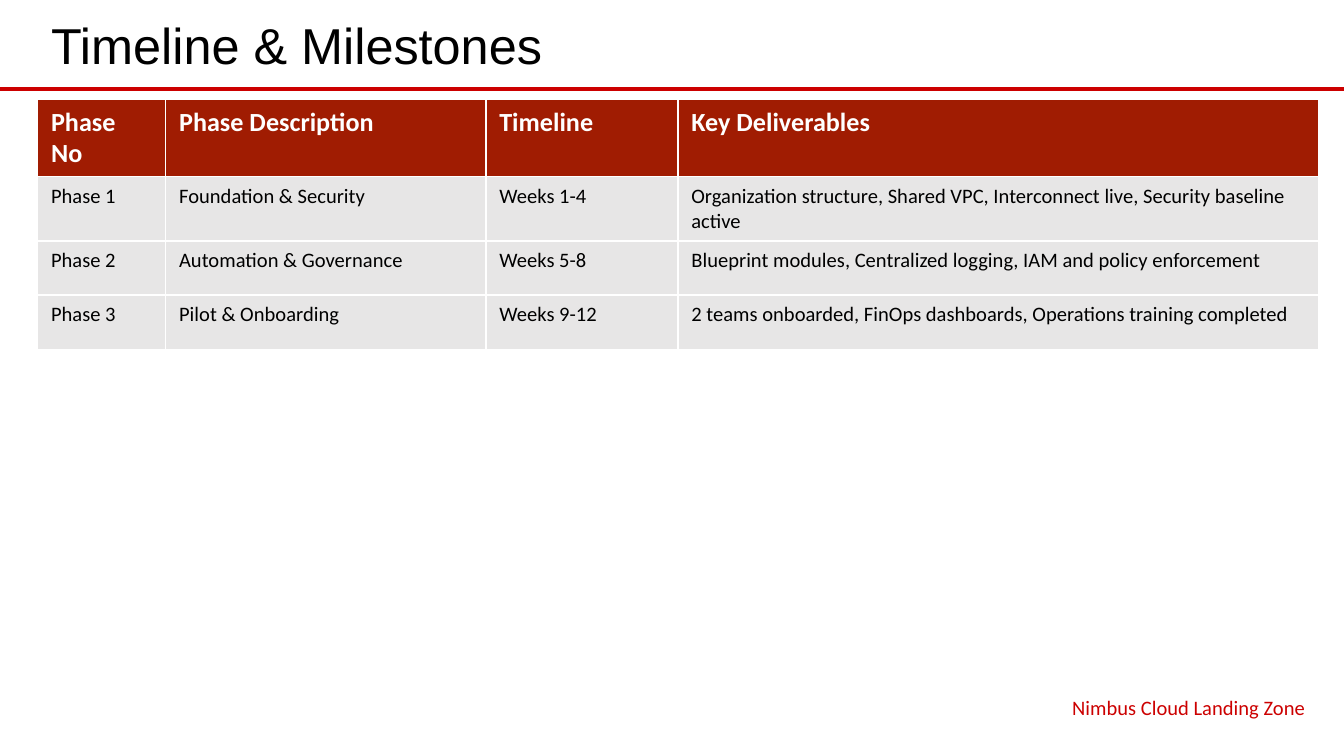
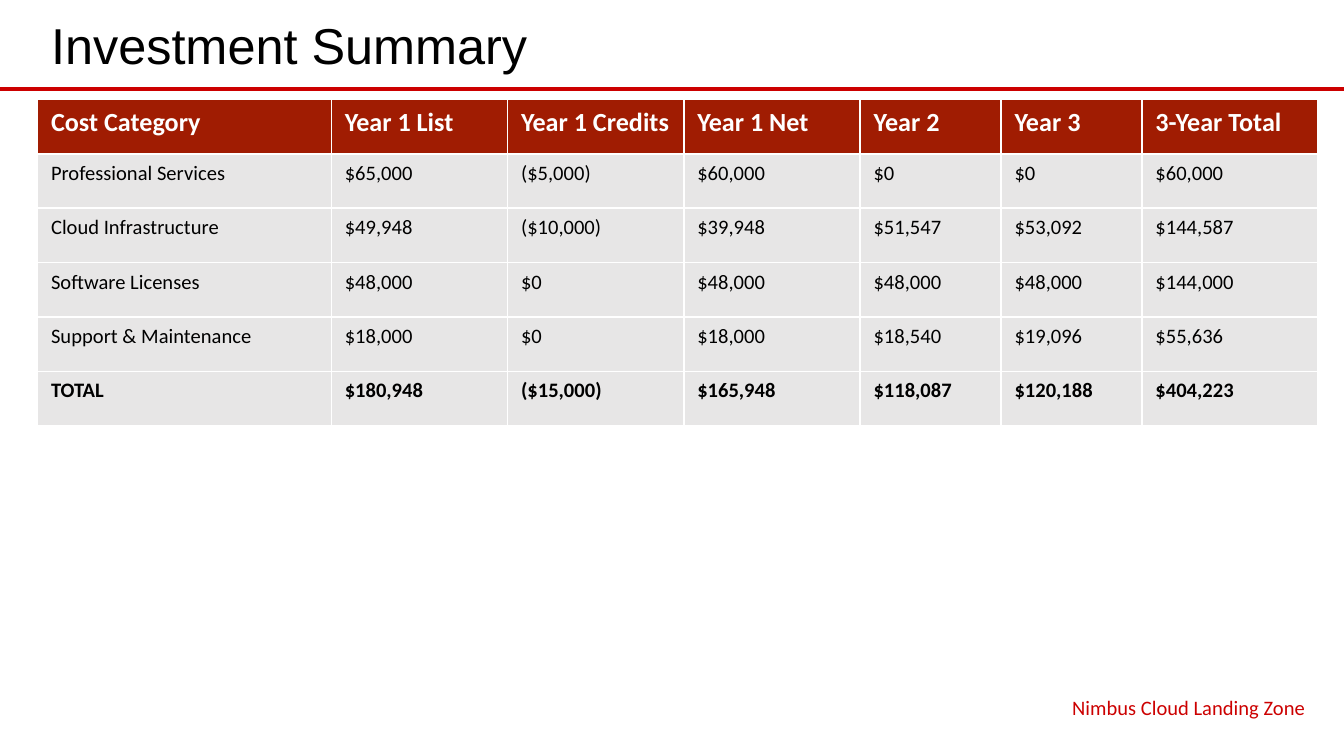
from dataclasses import dataclass

from lxml import etree
from pptx import Presentation
from pptx.dml.color import RGBColor
from pptx.enum.shapes import MSO_CONNECTOR
from pptx.enum.text import MSO_ANCHOR, MSO_AUTO_SIZE, PP_ALIGN
from pptx.oxml.ns import qn
from pptx.slide import Slide
from pptx.text.text import TextFrame
from pptx.util import Emu, Inches, Pt

STRAIGHT = MSO_CONNECTOR.STRAIGHT
TOP, MIDDLE = MSO_ANCHOR.TOP, MSO_ANCHOR.MIDDLE
LEFT, RIGHT = PP_ALIGN.LEFT, PP_ALIGN.RIGHT
NO_FIT = MSO_AUTO_SIZE.NONE

COLORS = {
    "rule": "CC0000",
    "header": "A01C02",
    "row": "E7E6E6",
    "white": "FFFFFF",
    "black": "000000",
}
WIDTH, HEIGHT = Inches(10), Inches(5.625)
TITLE_ONLY = 5
FOOTER = "Nimbus Cloud Landing Zone"
RULE_Y = 11.73
ROW_HEIGHT = 7.2


@dataclass(frozen=True)
class Box:
    """Position and size in percent of the slide."""

    left: float
    top: float
    width: float
    height: float = 0

    def emu(self) -> tuple[Emu, Emu, Emu, Emu]:
        return across(self.left), down(self.top), across(self.width), down(self.height)


@dataclass(frozen=True)
class TextStyle:
    font: str
    size: float
    color: str
    bold: bool = False
    align: PP_ALIGN = LEFT


@dataclass(frozen=True)
class TableSlide:
    title: str
    columns: tuple[int, ...]
    rows: tuple[tuple[str, ...], ...]
    has_total: bool = False


TITLE_BOX = Box(2.8, 0.71, 95.3, 10.31)
TABLE_BOX = Box(2.8, 13.16, 95.3)
FOOTER_BOX = Box(62.9, 91.02, 35.2, 4.62)

TITLE_STYLE = TextStyle("Arial", 27, "black")
HEADER_STYLE = TextStyle("Calibri", 14, "white", bold=True)
BODY_STYLE = TextStyle("Calibri", 11, "black")
TOTAL_STYLE = TextStyle("Calibri", 11, "black", bold=True)
FOOTER_STYLE = TextStyle("Calibri", 11, "rule", align=RIGHT)

SLIDES = (
    TableSlide(
        "Timeline & Milestones",
        (2, 5, 3, 10),
        (
            ("Phase No", "Phase Description", "Timeline", "Key Deliverables"),
            ("Phase 1", "Foundation & Security", "Weeks 1-4",
             "Organization structure, Shared VPC, Interconnect live, Security baseline active"),
            ("Phase 2", "Automation & Governance", "Weeks 5-8",
             "Blueprint modules, Centralized logging, IAM and policy enforcement"),
            ("Phase 3", "Pilot & Onboarding", "Weeks 9-12",
             "2 teams onboarded, FinOps dashboards, Operations training completed"),
        ),
    ),
    TableSlide(
        "Investment Summary",
        (25, 15, 15, 15, 12, 12, 15),
        (
            ("Cost Category", "Year 1 List", "Year 1 Credits", "Year 1 Net",
             "Year 2", "Year 3", "3-Year Total"),
            ("Professional Services", "$65,000", "($5,000)", "$60,000",
             "$0", "$0", "$60,000"),
            ("Cloud Infrastructure", "$49,948", "($10,000)", "$39,948",
             "$51,547", "$53,092", "$144,587"),
            ("Software Licenses", "$48,000", "$0", "$48,000",
             "$48,000", "$48,000", "$144,000"),
            ("Support & Maintenance", "$18,000", "$0", "$18,000",
             "$18,540", "$19,096", "$55,636"),
            ("TOTAL", "$180,948", "($15,000)", "$165,948",
             "$118,087", "$120,188", "$404,223"),
        ),
        has_total=True,
    ),
)


def across(percent: float) -> Emu:
    return Emu(round(WIDTH * percent / 100))


def down(percent: float) -> Emu:
    return Emu(round(HEIGHT * percent / 100))


def rgb(name: str) -> RGBColor:
    return RGBColor.from_string(COLORS[name])


def write(tf: TextFrame, text: str, style: TextStyle) -> None:
    tf.text = text
    p = tf.paragraphs[0]
    p.alignment = style.align
    font = p.runs[0].font
    font.name = style.font
    font.size = Pt(style.size)
    font.bold = style.bold
    font.color.rgb = rgb(style.color)


def add_title(s: Slide, text: str) -> None:
    sp = s.shapes.title
    sp.left, sp.top, sp.width, sp.height = TITLE_BOX.emu()
    tf = sp.text_frame
    tf.word_wrap = True
    tf.auto_size = NO_FIT
    tf.vertical_anchor = MIDDLE
    write(tf, text, TITLE_STYLE)


def add_rule(s: Slide) -> None:
    y = down(RULE_Y)
    sp = s.shapes.add_connector(STRAIGHT, 0, y, WIDTH, y)
    sp.line.color.rgb = rgb("rule")
    sp.line.width = Pt(2.25)
    etree.SubElement(sp.element.spPr, qn("a:effectLst"))


def add_footer(s: Slide) -> None:
    tf = s.shapes.add_textbox(*FOOTER_BOX.emu()).text_frame
    tf.word_wrap = True
    tf.vertical_anchor = TOP
    write(tf, FOOTER, FOOTER_STYLE)


def add_table(s: Slide, content: TableSlide) -> None:
    rows, columns = content.rows, content.columns
    left, top, width, _ = TABLE_BOX.emu()
    height = down(ROW_HEIGHT * len(rows))
    table = s.shapes.add_table(len(rows), len(columns), left, top, width, height).table
    table.horz_banding = False
    for column, share in zip(table.columns, columns):
        column.width = Emu(round(width * share / sum(columns)))
    for i, values in enumerate(rows):
        style, fill = BODY_STYLE, "row"
        if i == 0:
            style, fill = HEADER_STYLE, "header"
        elif content.has_total and i == len(rows) - 1:
            style = TOTAL_STYLE
        for j, value in enumerate(values):
            cell = table.cell(i, j)
            cell.fill.solid()
            cell.fill.fore_color.rgb = rgb(fill)
            write(cell.text_frame, value, style)


def main() -> None:
    prs = Presentation()
    prs.slide_width, prs.slide_height = WIDTH, HEIGHT
    for content in SLIDES:
        s = prs.slides.add_slide(prs.slide_layouts[TITLE_ONLY])
        add_rule(s)
        add_title(s, content.title)
        add_table(s, content)
        add_footer(s)
    prs.save("out.pptx")


if __name__ == "__main__":
    main()
